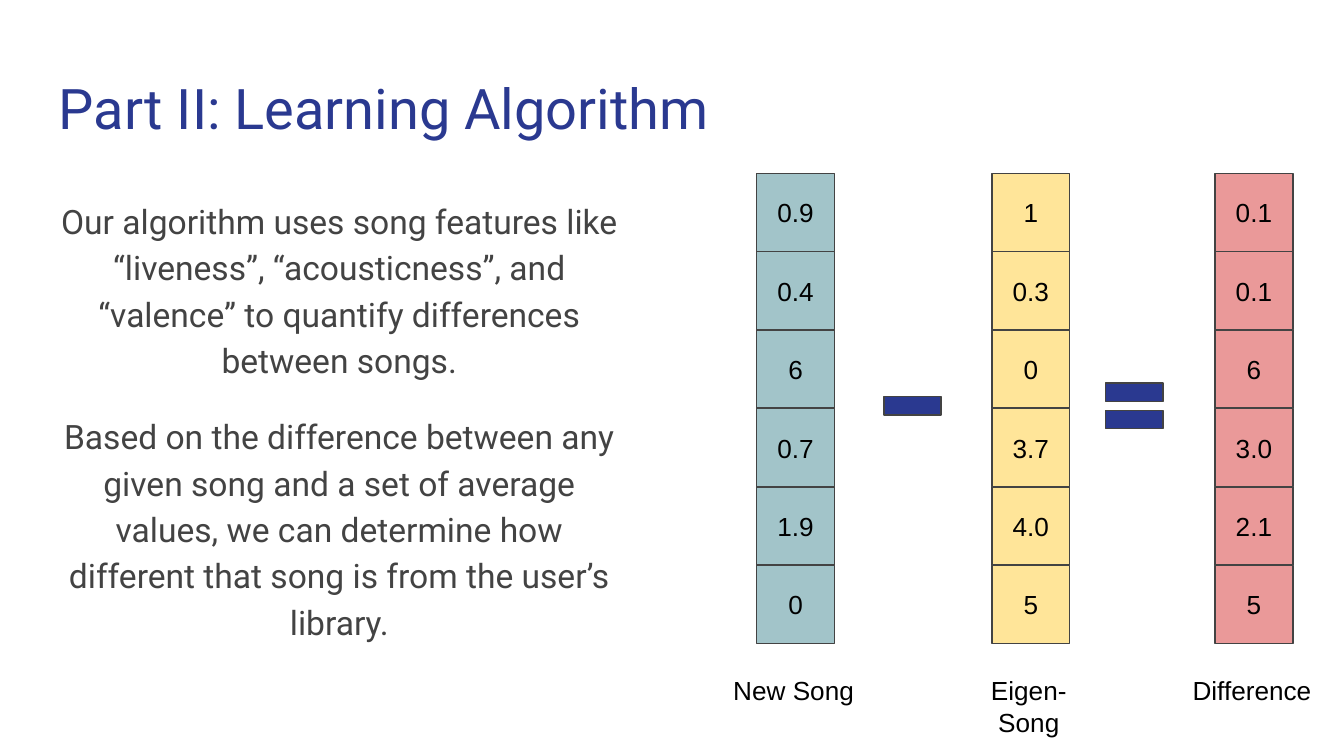
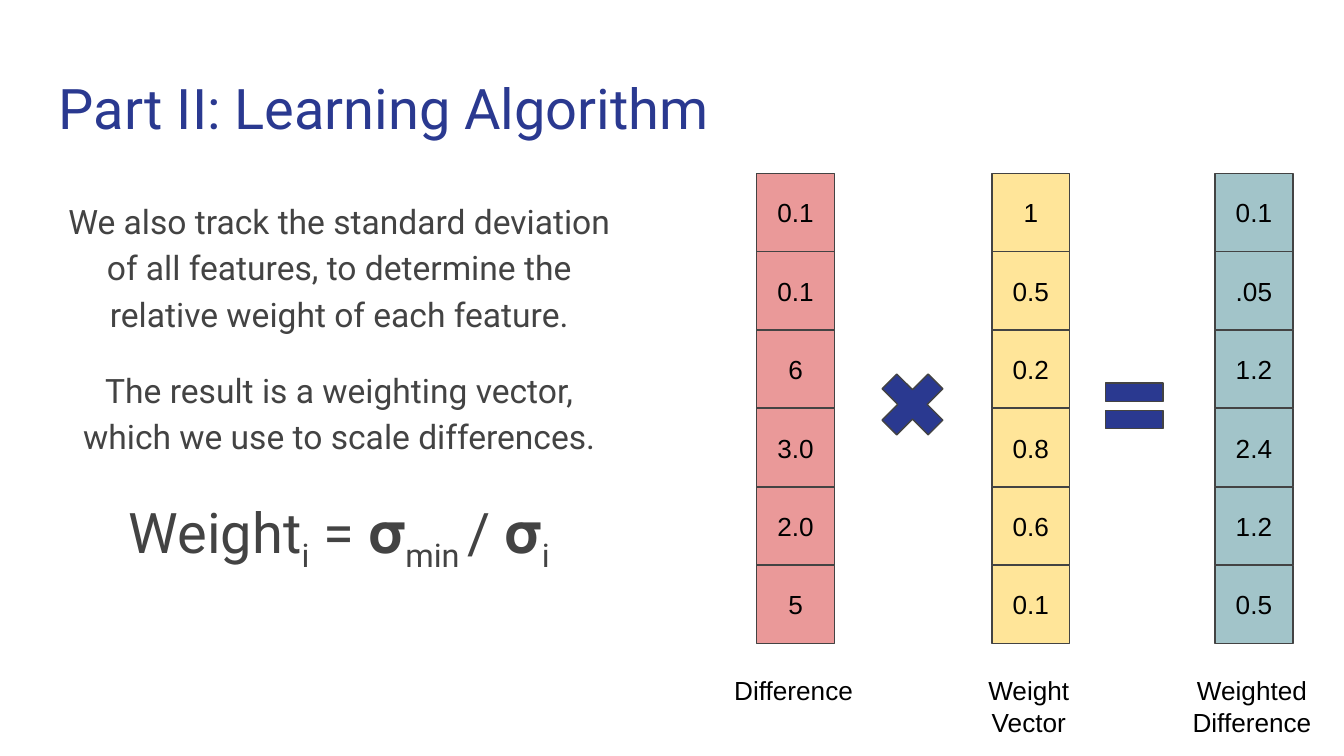
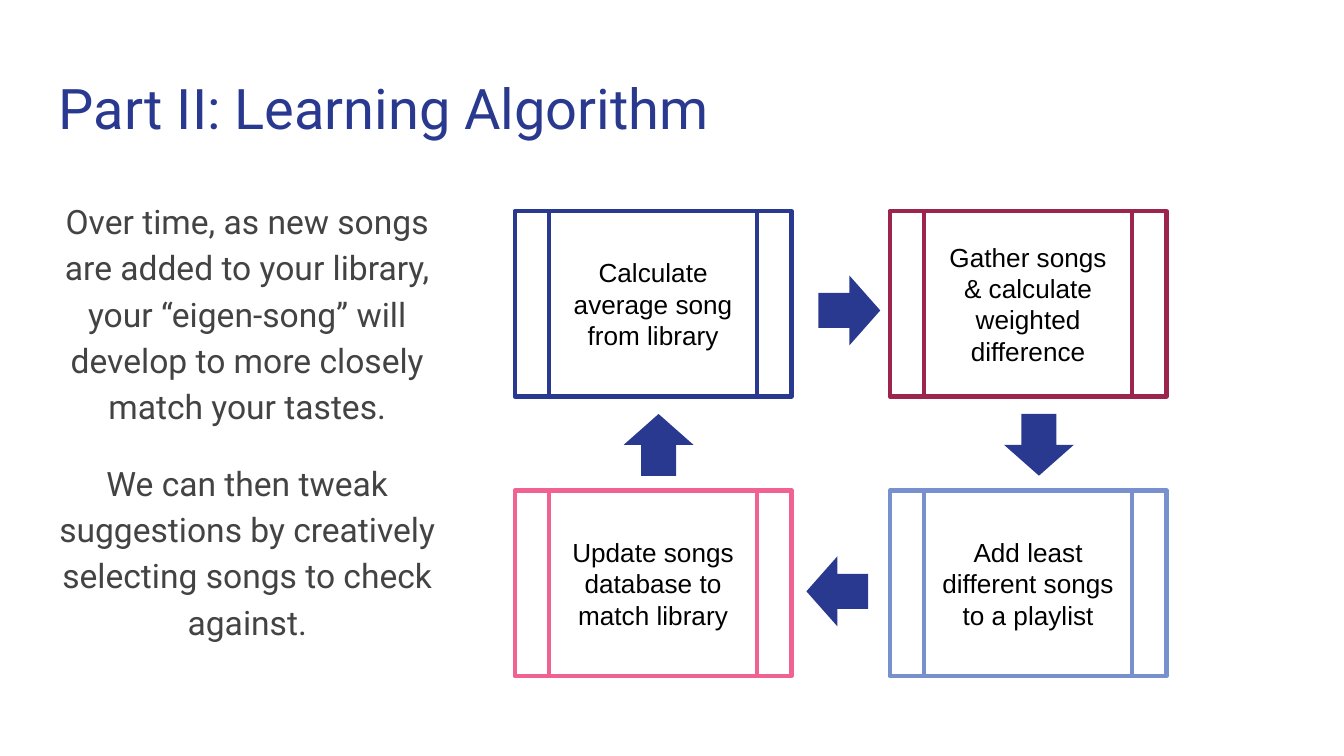
import pptx
import pptx.util
import pptx.dml.color
import pptx.enum.shapes
import pptx.enum.text

Inches = pptx.util.Inches
Pt = pptx.util.Pt
RGBColor = pptx.dml.color.RGBColor
SHAPE = pptx.enum.shapes.MSO_SHAPE
ALIGN = pptx.enum.text.PP_ALIGN
ANCHOR = pptx.enum.text.MSO_ANCHOR

NAVY = RGBColor(0x2A, 0x39, 0x90)
GRAY = RGBColor(0x43, 0x43, 0x43)
BLACK = RGBColor(0x00, 0x00, 0x00)
WHITE = RGBColor(0xFF, 0xFF, 0xFF)
TEAL = RGBColor(0xA2, 0xC4, 0xC9)
YELLOW = RGBColor(0xFF, 0xE5, 0x99)
RED = RGBColor(0xEA, 0x99, 0x99)
CRIMSON = RGBColor(0x9C, 0x25, 0x4D)
PINK = RGBColor(0xF0, 0x62, 0x92)
PERIWINKLE = RGBColor(0x78, 0x90, 0xCD)

TITLE = "Part II: Learning Algorithm"
TITLE_BOX = (0.34, 0.45, 9.32, 0.66)
WIDE_BODY = (0.34, 1.35, 4.37, 3.65)
NARROW_BODY = (0.34, 1.35, 3, 3.65)
VECTOR_LEFTS = (5.63, 7.38, 9.04)
VECTOR_TOP, VECTOR_HEIGHT, CELL_SIDE = 1.29, 3.5, 0.58
LABEL_WIDTH, LABEL_HEIGHT = 1.19, 0.58
MINUS = (SHAPE.MATH_MINUS, (6.5, 2.73, 0.58, 0.58))
TIMES = (SHAPE.MATH_MULTIPLY, (6.46, 2.68, 0.66, 0.66))
EQUALS = (SHAPE.MATH_EQUAL, (8.15, 2.73, 0.58, 0.58))

WEIGHT_FORMULA = (("Weight", False), ("i", True), (" = 𝛔", False),
                  ("min ", True), ("/ 𝛔", False), ("i", True))


def inches(box):
    """Convert a (left, top, width, height) box to lengths."""
    return [Inches(length) for length in box]


def add_run(paragraph, text, font, size, color):
    """Add one styled run and return it."""
    run = paragraph.add_run()
    run.text = text
    run.font.name = font
    run.font.size = Pt(size)
    run.font.color.rgb = color
    return run


def prepare_frame(frame, anchor):
    """Set wrapping, margins and anchor of a text frame."""
    frame.word_wrap = True
    frame.vertical_anchor = anchor
    frame.margin_left = frame.margin_right = Inches(0.1)
    frame.margin_top = frame.margin_bottom = Inches(0.1)


def write(frame, lines, font, size, color, align=ALIGN.CENTER, anchor=ANCHOR.TOP):
    """Write each line as a paragraph and return the paragraphs."""
    prepare_frame(frame, anchor)
    paragraphs = [frame.paragraphs[0]] + [frame.add_paragraph() for _ in lines[1:]]
    for paragraph, line in zip(paragraphs, lines):
        paragraph.alignment = align
        add_run(paragraph, line, font, size, color)
    return paragraphs


def add_figure(slide, kind, box, fill, line=None, weight=0.75):
    """Add a filled preset shape, outlined if a line colour is given."""
    figure = slide.shapes.add_shape(kind, *inches(box))
    figure.shadow.inherit = False
    figure.fill.solid()
    figure.fill.fore_color.rgb = fill
    if line is None:
        figure.line.fill.background()
    else:
        figure.line.color.rgb = line
        figure.line.width = Pt(weight)
    return figure


def add_title(slide):
    """Add the section title."""
    frame = slide.shapes.add_textbox(*inches(TITLE_BOX)).text_frame
    write(frame, [TITLE], "Roboto", 30, NAVY, ALIGN.LEFT)


def space_body(paragraph):
    """Apply the spacing of body text."""
    paragraph.line_spacing = 1.15
    paragraph.space_after = Pt(16)


def add_body(slide, box, lines, formula=()):
    """Add the explanation, closed by an optional formula of (text, subscript)."""
    frame = slide.shapes.add_textbox(*inches(box)).text_frame
    for paragraph in write(frame, lines, "Roboto", 18, GRAY):
        space_body(paragraph)
    if formula:
        equation = frame.add_paragraph()
        equation.alignment = ALIGN.CENTER
        space_body(equation)
        for text, subscript in formula:
            run = add_run(equation, text, "Roboto", 30, GRAY)
            if subscript:
                run.font._element.set("baseline", "-25000")


def add_vector(slide, left, values, color, label):
    """Add a column of feature values with its label below."""
    pitch = VECTOR_HEIGHT / len(values)
    for row, value in enumerate(values):
        box = (left, VECTOR_TOP + row * pitch, CELL_SIDE, CELL_SIDE)
        cell = add_figure(slide, SHAPE.RECTANGLE, box, color, GRAY)
        write(cell.text_frame, [value], "Arial", 14, BLACK, anchor=ANCHOR.MIDDLE)
    label_box = (left - 0.32, VECTOR_TOP + VECTOR_HEIGHT + 0.13, LABEL_WIDTH, LABEL_HEIGHT)
    caption = slide.shapes.add_textbox(*inches(label_box))
    write(caption.text_frame, label, "Arial", 14, BLACK)


def add_equation_slide(deck, lines, vectors, operators, formula=()):
    """Add a slide that explains an equation between vectors."""
    slide = deck.slides.add_slide(deck.slide_layouts[6])
    add_title(slide)
    add_body(slide, WIDE_BODY, lines, formula)
    for left, (values, color, label) in zip(VECTOR_LEFTS, vectors):
        add_vector(slide, left, values.split(), color, label)
    for kind, box in operators:
        add_figure(slide, kind, box, NAVY, GRAY)


def add_cycle(slide, left, top):
    """Add the four steps of the learning cycle and the arrows between them."""
    steps = (
        (0, 0, NAVY, "Calculate average song from library"),
        (1, 0, CRIMSON, "Gather songs & calculate weighted difference"),
        (0, 1, PINK, "Update songs database to match library"),
        (1, 1, PERIWINKLE, "Add least different songs to a playlist"),
    )
    for column, row, color, text in steps:
        box = (left + column * 2.79, top + row * 2.08, 2.06, 1.38)
        step = add_figure(slide, SHAPE.FLOWCHART_PREDEFINED_PROCESS, box, WHITE, color, 2.25)
        write(step.text_frame, [text], "Arial", 14, BLACK, anchor=ANCHOR.MIDDLE)
    for x, y, turn in ((2.26, 0.48, 0), (3.67, 1.48, 90), (2.17, 2.57, 180), (0.84, 1.48, 270)):
        arrow = add_figure(slide, SHAPE.RIGHT_ARROW, (left + x, top + y, 0.46, 0.52), NAVY)
        arrow.rotation = turn


def add_cycle_slide(deck):
    """Add the slide on how the library develops over time."""
    slide = deck.slides.add_slide(deck.slide_layouts[6])
    add_title(slide)
    add_body(slide, NARROW_BODY, [
        "Over time, as new songs are added to your library, your “eigen-song” will "
        "develop to more closely match your tastes.",
        "We can then tweak suggestions by creatively selecting songs to check against.",
    ])
    add_cycle(slide, 3.83, 1.57)


def main():
    """Build and save the deck."""
    deck = pptx.Presentation()
    deck.slide_width = Inches(10)
    deck.slide_height = Inches(10 * 9 / 16)
    add_equation_slide(
        deck,
        ["Our algorithm uses song features like “liveness”, “acousticness”, and "
         "“valence” to quantify differences between songs.",
         "Based on the difference between any given song and a set of average values, "
         "we can determine how different that song is from the user’s library."],
        [("0.9 0.4 6 0.7 1.9 0", TEAL, ["New Song"]),
         ("1 0.3 0 3.7 4.0 5", YELLOW, ["Eigen- Song"]),
         ("0.1 0.1 6 3.0 2.1 5", RED, ["Difference"])],
        [MINUS, EQUALS])
    add_equation_slide(
        deck,
        ["We also track the standard deviation of all features, to determine the "
         "relative weight of each feature.",
         "The result is a weighting vector, which we use to scale differences."],
        [("0.1 0.1 6 3.0 2.0 5", RED, ["Difference"]),
         ("1 0.5 0.2 0.8 0.6 0.1", YELLOW, ["Weight", "Vector"]),
         ("0.1 .05 1.2 2.4 1.2 0.5", TEAL, ["Weighted", "Difference"])],
        [TIMES, EQUALS],
        WEIGHT_FORMULA)
    add_cycle_slide(deck)
    deck.save("out.pptx")


if __name__ == "__main__":
    main()
